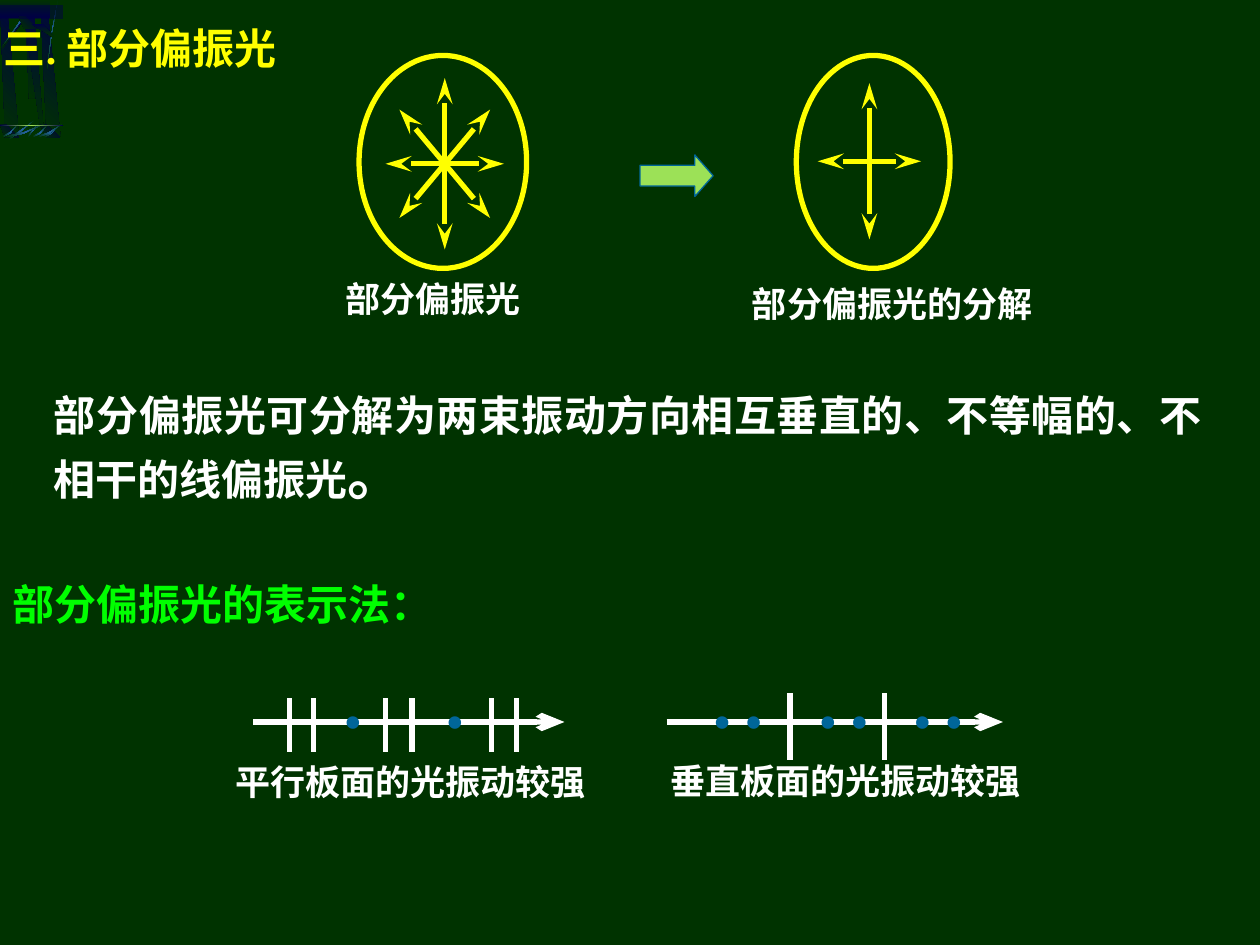
from lxml.etree import SubElement
from pptx import Presentation
from pptx.dml.color import RGBColor
from pptx.enum.shapes import MSO_CONNECTOR, MSO_SHAPE
from pptx.enum.text import MSO_ANCHOR, PP_ALIGN
from pptx.oxml import parse_xml
from pptx.oxml.ns import nsdecls, qn
from pptx.util import Inches, Pt

COLORS = {"bg": "003300", "navy": "000044", "steel": "2663A0", "lime": "9CE157",
          "yellow": "FFFF00", "white": "FFFFFF", "green": "00FF00", "blue": "006699"}
CJK = "Noto Sans CJK SC"
TIMES = "Times New Roman"

# Column ornament, in hundredths of an inch: gradient angle and outline
SHAFTS = [
    (135, [(23, 78), (29, 78), (23, 0), (20, 0)]),
    (135, [(4, 108), (15, 108), (5, 0), (0, 0)]),
    (135, [(37, 108), (48, 108), (37, 0), (32, 0)]),
    (90, [(17, 0), (33, 108), (35, 108), (26, 0)]),
]
FEET = [
    (135, [(19, 23), (30, 23), (20, 13), (15, 13)]),
    (135, [(4, 109), (15, 109), (5, 99), (0, 99)]),
    (135, [(37, 109), (48, 109), (37, 99), (32, 99)]),
    (90, [(25, 19), (41, 29), (43, 29), (34, 19)]),
]
# Thin highlights: middle colour, start, bend and end
SHAFT_GLINTS = [
    ("navy", (1, 40), (18, 16), (31, 3)),
    ("steel", (1, 38), (18, 14), (31, 1)),
    ("steel", (37, 57), (41, 26), (46, 0)),
]
FOOT_GLINTS = [
    ("steel", (31, 98), (26, 103), (22, 108)),
    ("steel", (28, 95), (17, 103), (7, 110)),
    ("steel", (36, 98), (19, 105), (5, 108)),
    ("steel", (15, 98), (8, 105), (2, 108)),
    ("steel", (38, 99), (32, 105), (26, 108)),
    ("steel", (48, 98), (41, 105), (35, 108)),
    ("steel", (50, 98), (39, 105), (30, 108)),
]


def rgb(name):
    return RGBColor.from_string(COLORS[name])


def write(tf, *texts, size=20, sizes=None, font=CJK, color="white", align=None,
          inset=(0.1, 0.05), wrap=True):
    """Fill a frame with one paragraph, one run per text."""
    tf.word_wrap = wrap
    tf.vertical_anchor = MSO_ANCHOR.TOP
    tf.margin_left = tf.margin_right = Inches(inset[0])
    tf.margin_top = tf.margin_bottom = Inches(inset[1])
    p = tf.paragraphs[0]
    p.alignment = align
    for text, pt in zip(texts, sizes or [size] * len(texts)):
        r = p.add_run()
        r.text = text
        r.font.size = Pt(pt)
        r.font.bold = True
        r.font.name = font
        r.font.color.rgb = rgb(color)
        SubElement(r.font._element, qn("a:ea")).set("typeface", CJK)


def add_text(s, box, *texts, **fmt):
    tb = s.shapes.add_textbox(*map(Inches, box))
    write(tb.text_frame, *texts, **fmt)


def add_line(s, start, end, color="white", head=None, tail=None):
    line = s.shapes.add_connector(MSO_CONNECTOR.STRAIGHT, *map(Inches, (*start, *end)))
    line.line.width = Pt(3)
    line.line.color.rgb = rgb(color)
    for tag, kind in (("a:headEnd", head), ("a:tailEnd", tail)):
        if kind:
            end_el = SubElement(line.line._get_or_add_ln(), qn(tag))
            for key, value in (("type", kind), ("w", "med"), ("len", "lg")):
                end_el.set(key, value)
    SubElement(line._element.spPr, qn("a:effectLst"))


def add_shape(s, kind, box, fill=None, line=None, width=3):
    sp = s.shapes.add_shape(kind, *map(Inches, box))
    sp.shadow.inherit = False
    if fill:
        sp.fill.solid()
        sp.fill.fore_color.rgb = rgb(fill)
    else:
        sp.fill.background()
    if line:
        sp.line.color.rgb = rgb(line)
        sp.line.width = Pt(width)
    else:
        sp.line.fill.background()
    return sp


def set_gradient(sp, names, angle):
    sp.shadow.inherit = False
    sp.line.fill.background()
    sp.fill.background()
    step = 100000 // (len(names) - 1)
    stops = "".join(f'<a:gs pos="{i * step}"><a:srgbClr val="{COLORS[n]}"/></a:gs>'
                    for i, n in enumerate(names))
    grad = parse_xml(f'<a:gradFill {nsdecls("a")} rotWithShape="1"><a:gsLst>{stops}</a:gsLst>'
                     f'<a:lin ang="{angle * 60000}" scaled="1"/></a:gradFill>')
    sp_pr = sp._element.spPr
    sp_pr.replace(sp_pr.find(qn("a:noFill")), grad)


def add_outline(s, points, names, angle):
    builder = s.shapes.build_freeform(*points[0], scale=Inches(0.01))
    builder.add_line_segments(points[1:], close=True)
    set_gradient(builder.convert_to_shape(), names, angle)


def add_beams(s, beams):
    for angle, points in beams:
        add_outline(s, points, ("navy", "bg"), angle)


def add_glints(s, glints):
    for color, start, bend, end in glints:
        points = [start, bend, end, (end[0], end[1] + 1), (bend[0], bend[1] + 1)]
        add_outline(s, points, ("bg", color, "bg"), 180)


def add_column(s, box):
    """Dark column ornament in the top left corner."""
    left, top, width, height = box
    add_beams(s, SHAFTS)
    add_glints(s, SHAFT_GLINTS)
    cap = add_shape(s, MSO_SHAPE.RECTANGLE, (left, top, 0.4, 0.14))
    set_gradient(cap, ("bg", "navy"), 90)
    add_beams(s, FEET)
    band = add_shape(s, MSO_SHAPE.RECTANGLE, (left, top + 0.04, width, 0.11), "navy")
    SubElement(band._element.spPr.find(".//" + qn("a:srgbClr")), qn("a:alpha")).set("val", "50000")
    add_glints(s, FOOT_GLINTS)
    base = add_shape(s, MSO_SHAPE.RECTANGLE, (left, top + height, width, 0.01))
    set_gradient(base, ("navy", "lime", "navy"), 180)


def add_polarization(s, box, center, reaches, label, label_box):
    """Ellipse with double arrows reaching (dx, dy) either side of the centre."""
    x, y = center
    for dx, dy in reaches:
        add_line(s, (x - dx, y - dy), (x + dx, y + dy), "yellow", "stealth", "stealth")
    add_shape(s, MSO_SHAPE.OVAL, box, line="yellow")
    add_text(s, label_box, label, align=PP_ALIGN.JUSTIFY)


def add_ray(s, box, bars, dots, label, label_box):
    """Ray arrow crossing the box, with full-height bars and dots at given x."""
    left, top, width, height = box
    y = 5.73
    add_line(s, (left, y), (left + width, y), tail="arrow")
    for x in bars:
        add_line(s, (x, top), (x, top + height))
    for x in dots:
        add_text(s, (x - 0.11, y - 0.41, 0.4, 0.36), "·", size=44, font=TIMES,
                 color="blue", align=PP_ALIGN.JUSTIFY, inset=(0.01, 0.01))
    add_text(s, label_box, label, font=TIMES, align=PP_ALIGN.JUSTIFY)


def add_title(s, box, text):
    """Place the title in front of the ornament."""
    title = s.shapes.title
    title.left, title.top, title.width, title.height = map(Inches, box)
    write(title.text_frame, text, size=24, font=TIMES, color="yellow", align=PP_ALIGN.LEFT)
    s.shapes._spTree.append(title._element)


def main():
    prs = Presentation()
    prs.slide_width, prs.slide_height = Inches(10), Inches(7.5)
    s = prs.slides.add_slide(prs.slide_layouts[5])
    s.background.fill.solid()
    s.background.fill.fore_color.rgb = rgb("bg")

    add_column(s, (0, 0, 0.5, 0.99))
    add_title(s, (-0.07, 0.13, 2.8, 0.5), "三. 部分偏振光")
    add_polarization(s, (6.32, 0.44, 1.22, 1.69), (6.9, 1.28), [(0.41, 0), (0, 0.62)],
                     "部分偏振光的分解", (5.87, 2.19, 2.5, 0.44))
    add_polarization(s, (2.85, 0.44, 1.33, 1.69), (3.53, 1.3),
                     [(0.47, 0), (0, 0.68), (0.36, -0.43), (0.36, 0.43)],
                     "部分偏振光", (2.64, 2.15, 1.79, 0.44))
    arrow = add_shape(s, MSO_SHAPE.RIGHT_ARROW, (5.08, 1.23, 0.58, 0.33), "lime", "blue", 0.75)
    arrow.adjustments[0], arrow.adjustments[1] = 0.5, 0.44

    add_text(s, (0.33, 3.04, 9.31, 1.04),
             "部分偏振光可分解为两束振动方向相互垂直的、不等幅的、不相干的线偏振光", "。",
             sizes=(24, 32), align=PP_ALIGN.JUSTIFY)
    add_text(s, (0, 4.54, 3.67, 0.5), "部分偏振光的表示法：", size=24, color="green")
    add_ray(s, (2.01, 5.54, 2.47, 0.43), (2.3, 2.49, 3.06, 3.27, 3.9, 4.1),
            (2.8, 3.61), "平行板面的光振动较强", (1.77, 5.99, 3.08, 0.46))
    add_ray(s, (5.29, 5.5, 2.67, 0.53), (6.27, 7.02),
            (5.73, 5.98, 6.57, 6.82, 7.32, 7.57),
            "垂直板面的光振动较强", (5.22, 5.98, 3.22, 0.46))
    prs.save("out.pptx")


if __name__ == "__main__":
    main()
